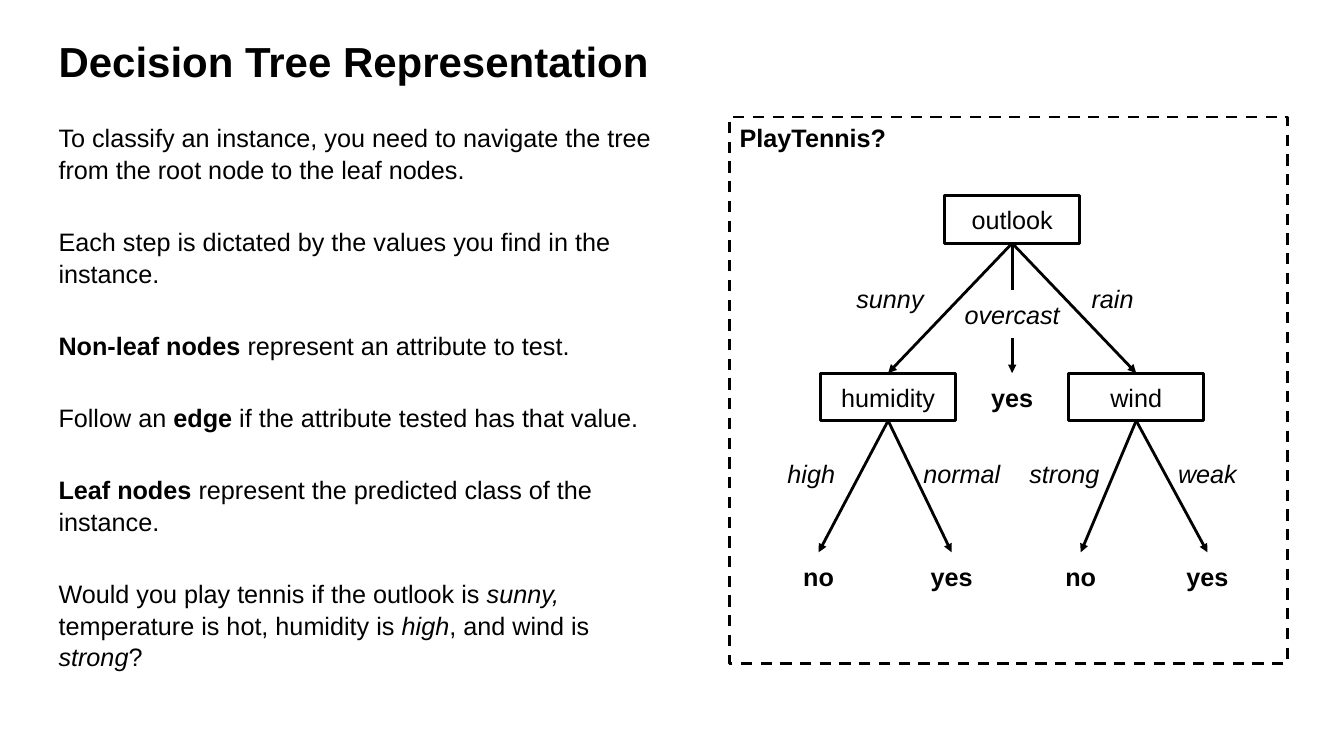
from dataclasses import dataclass

from lxml.etree import SubElement
from pptx import Presentation
from pptx.dml.color import RGBColor
from pptx.enum.dml import MSO_LINE
from pptx.enum.shapes import MSO_CONNECTOR, MSO_SHAPE
from pptx.enum.text import MSO_ANCHOR, PP_ALIGN
from pptx.oxml.ns import qn
from pptx.shapes.autoshape import Shape
from pptx.slide import Slide
from pptx.text.text import _Paragraph
from pptx.util import Pt

COLORS = {"ink": "000000", "paper": "FFFFFF"}
FONT = "Arial"
BOX_H = 34
LINE_W = 2
BOTTOM, TOP = 2, 0


@dataclass
class Box:
    """A tree element, placed by the middle of its top side."""
    key: str
    text: str
    x: float
    y: float
    kind: str  # "node", "value" or "leaf"
    w: float = 96.5
    filled: bool = True


@dataclass
class Edge:
    start: str
    end: str
    arrow: bool = True


@dataclass
class Run:
    text: str
    bold: bool = False
    italic: bool = False


# Vertical levels of the tree
ROOT_Y, SPLIT_Y, VALUE_Y, LEAF_Y = 139.75, 266.5, 321, 394.5

BOXES = [
    Box("outlook", "outlook", 723, ROOT_Y, "node"),
    Box("humidity", "humidity", 634.4, SPLIT_Y, "node"),
    Box("wind", "wind", 811.6, SPLIT_Y, "node"),
    Box("sunny", "sunny", 635.75, 196.5, "value"),
    Box("overcast", "overcast", 723, 207.5, "value"),
    Box("rain", "rain", 794.75, 196.5, "value", filled=False),
    Box("high", "high", 579.5, VALUE_Y, "value"),
    Box("normal", "normal", 687, VALUE_Y, "value"),
    Box("strong", "strong", 760.3, VALUE_Y, "value", w=73.5),
    Box("weak", "weak", 862.5, VALUE_Y, "value"),
    Box("high leaf", "no", 584.75, LEAF_Y, "leaf"),
    Box("normal leaf", "yes", 679.75, LEAF_Y, "leaf"),
    Box("overcast leaf", "yes", 723, SPLIT_Y, "leaf", w=61),
    Box("weak leaf", "yes", 862.5, LEAF_Y, "leaf"),
    Box("strong leaf", "no", 772, LEAF_Y, "leaf"),
]

EDGES = [
    Edge("outlook", "overcast", arrow=False),
    Edge("outlook", "wind"),
    Edge("outlook", "humidity"),
    Edge("overcast", "overcast leaf"),
    Edge("humidity", "high leaf"),
    Edge("humidity", "normal leaf"),
    Edge("wind", "strong leaf"),
    Edge("wind", "weak leaf"),
]

BODY = [
    [Run("To classify an instance, you need to navigate the tree from the root node "
         "to the leaf nodes.")],
    [Run("Each step is dictated by the values you find in the instance.")],
    [Run("Non-leaf nodes ", bold=True), Run("represent an attribute to test.")],
    [Run("Follow an "), Run("edge ", bold=True),
     Run("if the attribute tested has that value.")],
    [Run("Leaf nodes ", bold=True),
     Run("represent the predicted class of the instance.")],
    [Run("Would you play tennis if the outlook is "), Run("sunny, ", italic=True),
     Run("temperature is hot, humidity is "), Run("high", italic=True),
     Run(", and wind is "), Run("strong", italic=True), Run("?")],
]


def color(name: str) -> RGBColor:
    return RGBColor.from_string(COLORS[name])


def set_font(p: _Paragraph, size: float = 18, bold: bool = False,
             italic: bool = False) -> None:
    f = p.font
    f.name, f.size, f.bold, f.italic = FONT, Pt(size), bold, italic
    f.color.rgb = color("ink")


def add_text(s: Slide, x: float, y: float, w: float, h: float) -> Shape:
    sp = s.shapes.add_textbox(Pt(x), Pt(y), Pt(w), Pt(h))
    sp.text_frame.word_wrap = True
    return sp


def add_rect(s: Slide, x: float, y: float, w: float, h: float,
             filled: bool, outlined: bool) -> Shape:
    sp = s.shapes.add_shape(MSO_SHAPE.RECTANGLE, Pt(x), Pt(y), Pt(w), Pt(h))
    sp.shadow.inherit = False
    if filled:
        sp.fill.solid()
        sp.fill.fore_color.rgb = color("paper")
    else:
        sp.fill.background()
    if outlined:
        sp.line.color.rgb = color("ink")
        sp.line.width = Pt(LINE_W)
    else:
        sp.line.fill.background()
    return sp


def add_box(s: Slide, box: Box) -> Shape:
    sp = add_rect(s, box.x - box.w / 2, box.y, box.w, BOX_H,
                  box.filled, box.kind == "node")
    tf = sp.text_frame
    tf.vertical_anchor = MSO_ANCHOR.MIDDLE
    p = tf.paragraphs[0]
    p.text = box.text
    p.alignment = PP_ALIGN.CENTER
    set_font(p, bold=box.kind == "leaf", italic=box.kind == "value")
    return sp


def add_edge(s: Slide, start: Shape, end: Shape, arrow: bool) -> None:
    c = s.shapes.add_connector(MSO_CONNECTOR.STRAIGHT, 0, 0, 0, 0)
    c.begin_connect(start, BOTTOM)
    c.end_connect(end, TOP)
    c.line.color.rgb = color("ink")
    c.line.width = Pt(LINE_W)
    if arrow:
        SubElement(c.line._get_or_add_ln(), qn("a:tailEnd"), type="triangle")
    SubElement(c._element.spPr, qn("a:effectLst"))


def main() -> None:
    prs = Presentation()
    prs.slide_width, prs.slide_height = Pt(960), Pt(540)
    s = prs.slides.add_slide(prs.slide_layouts[6])

    # Title
    tf = add_text(s, 34.75, 21, 891, 45).text_frame
    tf.vertical_anchor = MSO_ANCHOR.MIDDLE
    p = tf.paragraphs[0]
    p.text = "Decision Tree Representation"
    set_font(p, size=30, bold=True)

    # Explanation
    tf = add_text(s, 34.75, 83, 445.5, 391).text_frame
    for i, runs in enumerate(BODY):
        p = tf.add_paragraph() if i else tf.paragraphs[0]
        set_font(p)
        p.line_spacing = 1.05
        p.space_before = Pt(28.8 if i else 0)
        for run in runs:
            r = p.add_run()
            r.text = run.text
            if run.bold:
                r.font.bold = True
            if run.italic:
                r.font.italic = True

    # Tree boxes
    shapes = {box.key: add_box(s, box) for box in BOXES}

    # Dashed frame
    sp = add_rect(s, 521.25, 83.5, 398.25, 390.25, filled=False, outlined=True)
    sp.line.dash_style = MSO_LINE.DASH
    tf = sp.text_frame
    tf.vertical_anchor = MSO_ANCHOR.TOP
    p = tf.paragraphs[0]
    p.text = "PlayTennis?"
    p.alignment = PP_ALIGN.LEFT
    set_font(p, bold=True)

    # Tree edges
    for edge in EDGES:
        add_edge(s, shapes[edge.start], shapes[edge.end], edge.arrow)

    prs.save("out.pptx")


if __name__ == "__main__":
    main()
